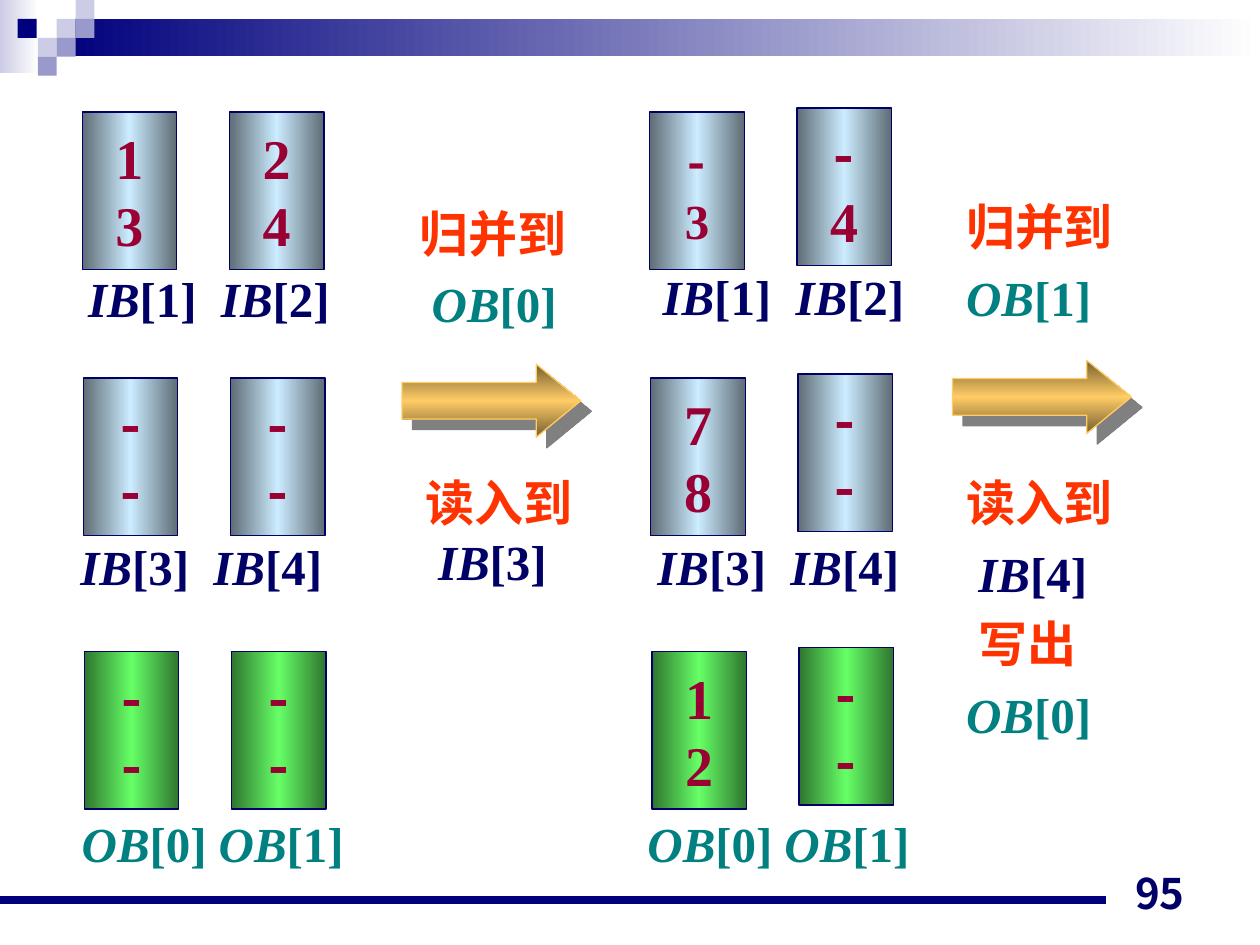
"""Build the slide showing input and output buffers during a merge."""
import copy

import pptx
import pptx.dml.color
import pptx.enum.shapes
import pptx.enum.text
import pptx.oxml
import pptx.oxml.ns
import pptx.util

Pt = pptx.util.Pt
qn = pptx.oxml.ns.qn
SHAPE = pptx.enum.shapes.MSO_SHAPE
ALIGN = pptx.enum.text.PP_ALIGN
ANCHOR = pptx.enum.text.MSO_ANCHOR
SERIF, SANS, NUMBER_FONT = "Times New Roman", "Noto Sans CJK SC", "Noto Sans CJK JP"

COLOURS = {
    "white": "FFFFFF", "pale": "CCCCE6", "lilac": "9999CC", "blue": "00007D",
    "navy": "000066", "crimson": "990033", "teal": "008080", "red": "FF3300",
    "steel": "5E6C75", "sky": "CCECFF", "forest": "2F752F", "lime": "66FF66",
    "bronze": "755E2F", "gold": "FFCC66", "grey": "808080",
}
NAME_COLOURS = {"IB": "navy", "OB": "teal"}
BUFFER_FILLS = {"IB": ("steel", "sky", "steel"), "OB": ("forest", "lime", "forest")}

SQUARE = 10.8
SQUARES = [(32.4, 10.8, "pale"), (43.2, 0, "pale"), (43.2, 10.8, "lilac"),
           (21.6, 21.6, "pale"), (10.1, 10.8, "blue"), (32.4, 21.6, "lilac"),
           (21.6, 32.4, "lilac")]

ROW_TOPS = (64, 216, 372.3)
ROW_NAMES = (("IB[1]", "IB[2]"), ("IB[3]", "IB[4]"), ("OB[0]", "OB[1]"))
STATES = [
    {"left": 47, "drop": 0, "rows": ((("1", "3"), ("2", "4")), ("--", "--"), ("--", "--")),
     "labels": ((43.2, 149.8), (38.9, 303.1), (39.6, 461.5))},
    {"left": 371.3, "drop": -2.2, "rows": (("-3", "-4"), ("78", "--"), ("12", "--")),
     "labels": ((371.5, 149), (368.6, 303.1), (362.9, 461.5))},
]
CAPTION_WIDTH = 104
CAPTIONS = [
    (232.6, 105.8, 88, 1.2, [("归并到", 0), ("OB[0]", 7)]),
    (545, 102.2, 88, 1.2, [("归并到", 0), ("OB[1]", 0)]),
    (236.2, 266.4, 75, 1, [("读入到", 0), ("IB[3]", 7)]),
    (545, 259.9, 168.5, 1.2, [("读入到", 0), ("IB[4]", 7), ("写出", 7), ("OB[0]", 0)]),
]
ARROWS = [(229.7, 208.1), (544.3, 205.9)]


def colour(name):
    """Return the named colour."""
    return pptx.dml.color.RGBColor.from_string(COLOURS[name])


def format_run(run, size, name, font=SERIF, italic=False):
    """Set the bold font of a run, for East Asian text as well."""
    run.font.size, run.font.name = Pt(size), font
    run.font.bold, run.font.italic = True, italic
    run.font.color.rgb = colour(name)
    east_asian = SANS if font == SERIF else font
    run.font._element.find(qn("a:latin")).addnext(
        pptx.oxml.parse_xml(f'<a:ea {pptx.oxml.ns.nsdecls("a")} typeface="{east_asian}"/>'))


def add_preset(slide, kind, box, fills, line=None, angle=0):
    """Add a shape with a solid or an evenly stepped gradient fill."""
    shape = slide.shapes.add_shape(kind, *map(Pt, box))
    shape.shadow.inherit = False
    if len(fills) == 1:
        shape.fill.solid()
        shape.fill.fore_color.rgb = colour(fills[0])
    else:
        shape.fill.gradient()
        shape.fill.gradient_angle = angle
        stop_list = shape._element.spPr.find(".//" + qn("a:gsLst"))
        for _ in fills[2:]:
            stop_list.append(copy.deepcopy(stop_list[-1]))
        for index, stop in enumerate(shape.fill.gradient_stops):
            stop.position = index / (len(fills) - 1)
            stop.color.rgb = colour(fills[index])
    if line:
        shape.line.color.rgb = colour(line)
        shape.line.width = Pt(0.75)
    else:
        shape.line.fill.background()
    return shape


def add_text_box(slide, box, wrap=False):
    """Add a text box and return its frame."""
    frame = slide.shapes.add_textbox(*map(Pt, box)).text_frame
    frame.word_wrap = wrap
    return frame


def add_name(paragraph, name):
    """Write a buffer name with italic letters and an upright index."""
    letters, index = name[:2], name[2:]
    for text, italic in ((letters, True), (index, False)):
        run = paragraph.add_run()
        run.text = text
        format_run(run, 28, NAME_COLOURS[letters], italic=italic)


def add_decoration(slide):
    """Draw the header band, its squares and the footer rule."""
    add_preset(slide, SHAPE.RECTANGLE, (0, 0, 22.3, 41.8), ("pale", "white"))
    add_preset(slide, SHAPE.RECTANGLE, (32.4, 10.8, 687.6, 21.4), ("blue", "white"))
    for left, top, name in SQUARES:
        add_preset(slide, SHAPE.RECTANGLE, (left, top, SQUARE, SQUARE), (name,))
    rule = slide.shapes.add_connector(
        pptx.enum.shapes.MSO_CONNECTOR.STRAIGHT, Pt(0), Pt(514.1), Pt(632.2), Pt(514.1))
    rule.line.color.rgb = colour("blue")
    rule.line.width = Pt(4.5)
    rule._element.spPr.append(
        pptx.oxml.parse_xml(f'<a:effectLst {pptx.oxml.ns.nsdecls("a")}/>'))


def add_buffer(slide, left, top, kind, values, size):
    """Draw one buffer holding two records."""
    shape = add_preset(slide, SHAPE.RECTANGLE, (left, top, 54, 90), BUFFER_FILLS[kind], "navy")
    frame = shape.text_frame
    frame.word_wrap = False
    frame.vertical_anchor = ANCHOR.MIDDLE
    frame.text = "\n".join(values)
    for paragraph, value in zip(frame.paragraphs, values):
        paragraph.alignment = ALIGN.CENTER
        format_run(paragraph.runs[0], size, "crimson", SANS if value == "-" else SERIF)


def add_label(slide, left, top, names):
    """Write the names of two neighbouring buffers, parted by a tab stop."""
    is_input = names[0].startswith("IB")
    frame = add_text_box(slide, (left, top, 152.6 if is_input else 164.2, 41))
    paragraph = frame.paragraphs[0]
    stop = Pt(76 if is_input else 78.3)
    paragraph._p.get_or_add_pPr().append(pptx.oxml.parse_xml(
        f'<a:tabLst {pptx.oxml.ns.nsdecls("a")}><a:tab pos="{stop}" algn="l"/></a:tabLst>'))
    add_name(paragraph, names[0])
    paragraph.add_run().text = "\t"
    format_run(paragraph.runs[-1], 28, NAME_COLOURS[names[0][:2]])
    add_name(paragraph, names[1])


def add_state(slide, state):
    """Draw the six buffers of one state with their labels."""
    for row, (top, names) in enumerate(zip(ROW_TOPS, ROW_NAMES)):
        for column, values in enumerate(state["rows"][row]):
            size = 28 if values == "-3" else 32
            add_buffer(slide, state["left"] + 0.6 * row + 84.1 * column,
                       top + state["drop"] * column, names[column][:2], values, size)
        add_label(slide, *state["labels"][row], names)


def add_caption(slide, left, top, height, spacing, lines):
    """Write the steps performed between two states."""
    frame = add_text_box(slide, (left, top, CAPTION_WIDTH, height))
    for index, (text, indent) in enumerate(lines):
        paragraph = frame.add_paragraph() if index else frame.paragraphs[0]
        paragraph.line_spacing = float(spacing)
        if indent:
            paragraph._p.get_or_add_pPr().set("marL", str(Pt(indent)))
        if "[" in text:
            add_name(paragraph, text)
        else:
            paragraph.text = text
            format_run(paragraph.runs[0], 28, "red")


def add_arrow(slide, left, top):
    """Draw a golden arrow with a hard shadow."""
    arrow = add_preset(slide, SHAPE.RIGHT_ARROW, (left, top, 102.2, 41.8),
                       ("bronze", "gold", "bronze"), "gold", 90)
    arrow.adjustments[1] = 0.61
    arrow._element.spPr.find(qn("a:effectLst")).append(pptx.oxml.parse_xml(
        f'<a:outerShdw {pptx.oxml.ns.nsdecls("a")} dist="{Pt(8.5)}" dir="2700000" '
        f'algn="ctr" rotWithShape="0"><a:srgbClr val="{COLOURS["grey"]}"/></a:outerShdw>'))


def add_page_number(slide, number):
    """Write the page number at the lower right."""
    frame = add_text_box(slide, (516.2, 491.8, 167.8, 36), wrap=True)
    frame.vertical_anchor = ANCHOR.BOTTOM
    frame.text = number
    frame.paragraphs[0].alignment = ALIGN.RIGHT
    format_run(frame.paragraphs[0].runs[0], 24, "navy", NUMBER_FONT)


def main():
    """Build and save the presentation."""
    presentation = pptx.Presentation()
    presentation.slide_width, presentation.slide_height = Pt(720), Pt(540)
    slide = presentation.slides.add_slide(presentation.slide_layouts[6])
    add_decoration(slide)
    for state in STATES:
        add_state(slide, state)
    for position in ARROWS:
        add_arrow(slide, *position)
    for caption in CAPTIONS:
        add_caption(slide, *caption)
    add_page_number(slide, "95")
    presentation.save("out.pptx")


if __name__ == "__main__":
    main()
